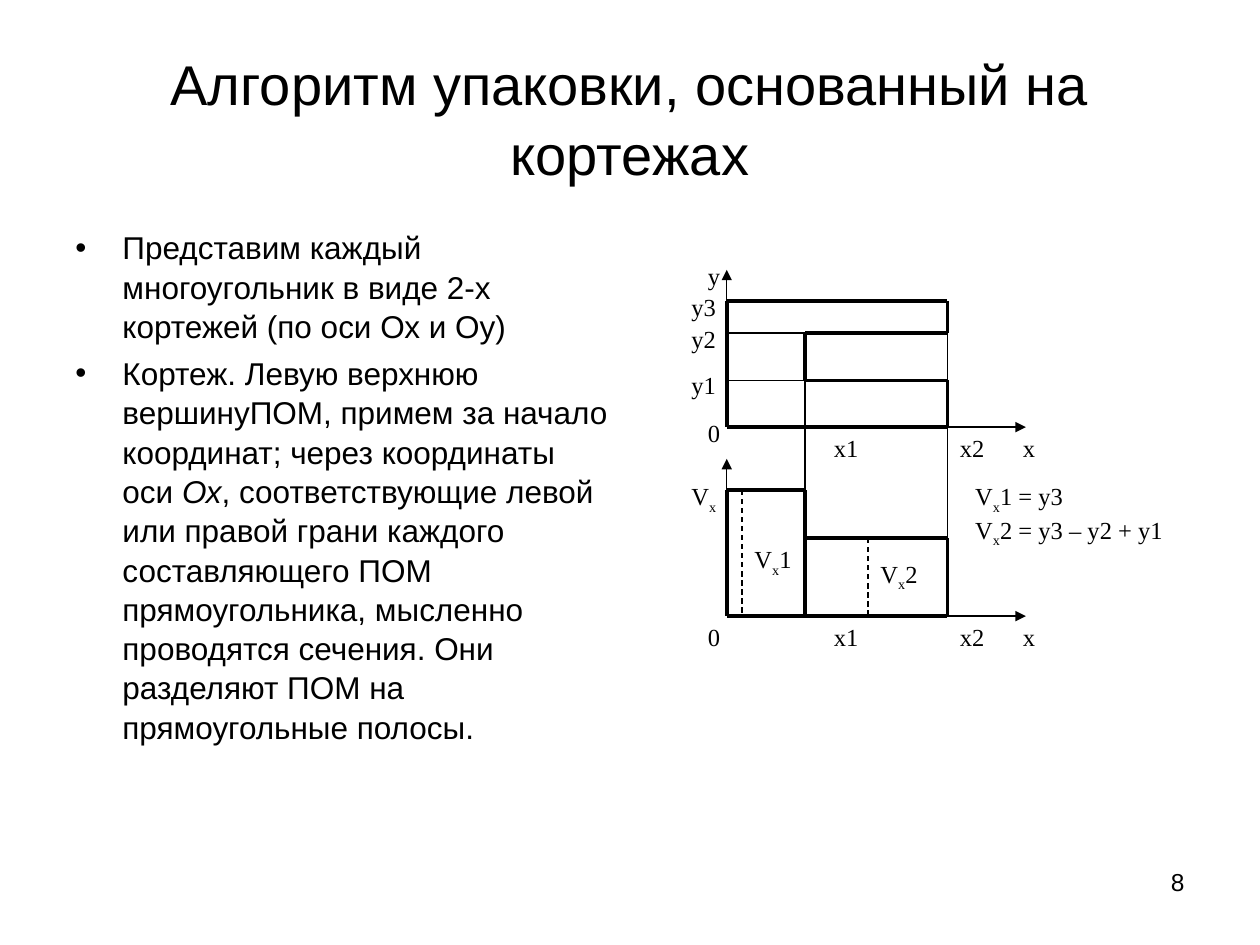
"""Build the slide on the tuple-based packing algorithm."""
from dataclasses import dataclass

from lxml import etree
from pptx import Presentation
from pptx import util as u
from pptx.dml.color import RGBColor
from pptx.enum import dml, shapes, text
from pptx.oxml.ns import qn

COLORS = {"ink": "000000", "paper": "FFFFFF"}
THIN, THICK = 0.75, 2.25
LEFT, NOTCH, RIGHT, AXIS_END = 14.65, 16.23, 19.1, 20.68
Y3, Y2, Y1, BASE = 6.07, 6.71, 7.67, 8.61
V1, V2, LOWER_BASE = 9.88, 10.85, 12.42
AXIS_HEIGHT = 3.17


@dataclass
class Line:
    """A straight line between two points, in centimetres."""
    x1: float
    y1: float
    x2: float
    y2: float
    width: float = THICK
    arrow: bool = False
    dashed: bool = False


@dataclass
class Label:
    """A diagram label; text between bars is a subscript."""
    words: str
    left: float
    top: float
    width: float = 1.27
    height: float = 0.94


def color(name: str) -> RGBColor:
    """Return a named palette colour."""
    return RGBColor.from_string(COLORS[name])


def add_text(page, words: str, left: float, top: float, width: float, height: float, *,
             font: str = "Arial", size: float = 14, align=text.PP_ALIGN.LEFT,
             anchor=text.MSO_ANCHOR.TOP, mark: str = "subscript", bullet: bool = False,
             spacing: float = 1.0, gap: float = 0) -> None:
    """Add a text box with a paragraph per line and marked spans between bars."""
    box = page.shapes.add_textbox(u.Cm(left), u.Cm(top), u.Cm(width), u.Cm(height))
    frame = box.text_frame
    frame.word_wrap = True
    frame.vertical_anchor = anchor
    for index, line in enumerate(words.split("\n")):
        para = frame.add_paragraph() if index else frame.paragraphs[0]
        para.alignment = align
        para.line_spacing = spacing
        if index:
            para.space_before = u.Pt(gap)
        if bullet:
            props = para._p.get_or_add_pPr()
            props.set("marL", str(u.Cm(0.95)))
            props.set("indent", str(u.Cm(-0.95)))
            etree.SubElement(props, qn("a:buFont"), typeface="Arial")
            etree.SubElement(props, qn("a:buChar"), char="•")
        for position, part in enumerate(line.split("|")):
            span = para.add_run()
            span.text = part
            span.font.name = font
            span.font.size = u.Pt(size)
            span.font.color.rgb = color("ink")
            if position % 2 and mark == "italic":
                span.font.italic = True
            elif position % 2:
                span._r.get_or_add_rPr().set("baseline", "-25000")


def add_line(page, line: Line) -> None:
    """Draw a line with its optional arrowhead and dashes."""
    ends = (u.Cm(value) for value in (line.x1, line.y1, line.x2, line.y2))
    connector = page.shapes.add_connector(shapes.MSO_CONNECTOR.STRAIGHT, *ends)
    connector.line.color.rgb = color("ink")
    connector.line.width = u.Pt(line.width)
    if line.dashed:
        connector.line.dash_style = dml.MSO_LINE.DASH
    if line.arrow:
        etree.SubElement(connector.line._get_or_add_ln(), qn("a:tailEnd"), type="triangle")
    etree.SubElement(connector._element.spPr, qn("a:effectLst"))


def add_label(page, label: Label) -> None:
    """Write a diagram label."""
    add_text(page, label.words, label.left, label.top, label.width, label.height,
             font="Times New Roman")


def add_axes(page, base: float) -> None:
    """Draw a pair of axes with the marks along x."""
    add_line(page, Line(LEFT, base, LEFT, base - AXIS_HEIGHT, THIN, arrow=True))
    add_line(page, Line(LEFT, base, AXIS_END, base, THIN, arrow=True))
    add_label(page, Label("x", 20.37, base, 0.64))
    add_label(page, Label("x2", RIGHT, base))
    add_label(page, Label("x1", 16.56, base))


LINES = [
    Line(LEFT, BASE, RIGHT, BASE),
    Line(LEFT, Y3, RIGHT, Y3),
    Line(LEFT, Y3, LEFT, BASE),
    Line(RIGHT, Y3, RIGHT, Y2),
    Line(RIGHT, Y1, RIGHT, BASE),
    Line(NOTCH, Y2, NOTCH, Y1),
    Line(NOTCH, Y2, RIGHT, Y2),
    Line(NOTCH, Y1, RIGHT, Y1),
    Line(NOTCH, Y1, NOTCH, BASE, THIN),
    Line(RIGHT, Y2, RIGHT, Y1, THIN),
    Line(NOTCH, Y1, LEFT, Y1, THIN),
    Line(NOTCH, Y2, LEFT, Y2, THIN),
    Line(LEFT, LOWER_BASE, RIGHT, LOWER_BASE),
    Line(NOTCH, V2, RIGHT, V2),
    Line(LEFT, V1, LEFT, LOWER_BASE),
    Line(RIGHT, V2, RIGHT, LOWER_BASE),
    Line(NOTCH, V1, NOTCH, LOWER_BASE),
    Line(LEFT, V1, NOTCH, V1),
    Line(NOTCH, BASE, NOTCH, 11.15, THIN),
    Line(RIGHT, BASE, RIGHT, 12.12, THIN),
    Line(14.96, V1, 14.96, LOWER_BASE, THIN, dashed=True),
    Line(17.5, V2, 17.5, LOWER_BASE, THIN, dashed=True),
]

LABELS = [
    Label("y", 14.02, 5.13, 0.64, 1.27),
    Label("y3", 13.69, 5.77),
    Label("y2", 13.69, 6.4),
    Label("y1", 13.69, 7.34),
    Label("0", 14.02, 8.31),
    Label("0", 14.02, LOWER_BASE),
    Label("V|x|", 13.69, 9.58, 1.57, 1.27),
    Label("V|x|1", 14.96, V2, 1.9),
    Label("V|x|2", 17.5, 11.15, 2.21),
    Label("V|x|1 = y3\nV|x|2 = y3 – y2 + y1", 19.41, 9.58, 4.45, 1.9),
]

BODY = (
    "Представим каждый многоугольник в виде 2-х кортежей (по оси Ох и Оу)\n"
    "Кортеж. Левую верхнюю вершинуПОМ, примем за начало координат; через "
    "координаты оси |Ох|, соответствующие левой или правой грани каждого "
    "составляющего ПОМ прямоугольника, мысленно проводятся сечения. "
    "Они разделяют ПОМ на прямоугольные полосы."
)


def main() -> None:
    """Compose the slide and save the deck."""
    deck = Presentation()
    deck.slide_width, deck.slide_height = u.Cm(25.4), u.Cm(19.05)
    page = deck.slides.add_slide(deck.slide_layouts[6])
    page.background.fill.solid()
    page.background.fill.fore_color.rgb = color("paper")
    add_text(page, "Алгоритм упаковки, основанный на кортежах", 1.27, 0.76, 22.86, 3.18,
             size=32, align=text.PP_ALIGN.CENTER, anchor=text.MSO_ANCHOR.MIDDLE, spacing=1.04)
    add_text(page, BODY, 1.27, 4.45, 11.23, 12.57, size=18, mark="italic", bullet=True,
             spacing=1.04, gap=4.5)
    for base in (BASE, LOWER_BASE):
        add_axes(page, base)
    for line in LINES:
        add_line(page, line)
    for label in LABELS:
        add_label(page, label)
    add_text(page, "8", 18.21, 17.35, 5.92, 1.32, align=text.PP_ALIGN.RIGHT)
    deck.save("out.pptx")


if __name__ == "__main__":
    main()
